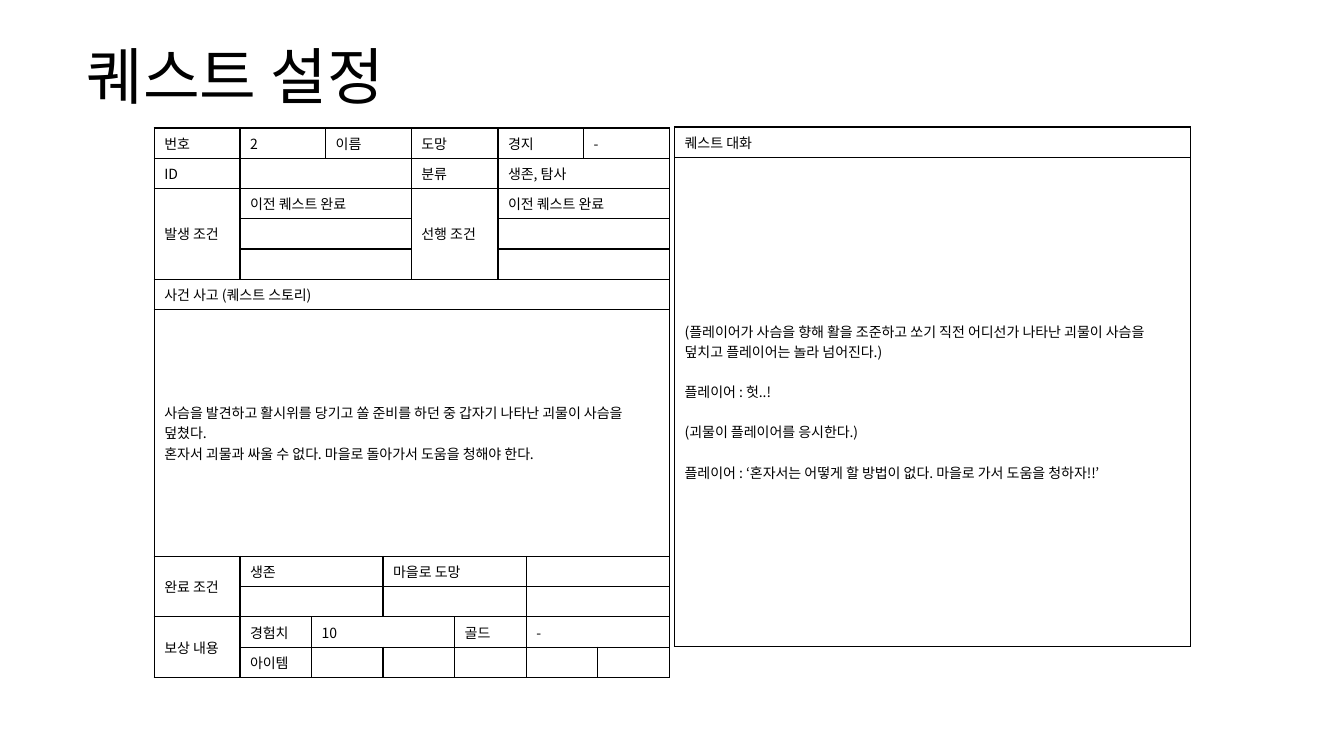
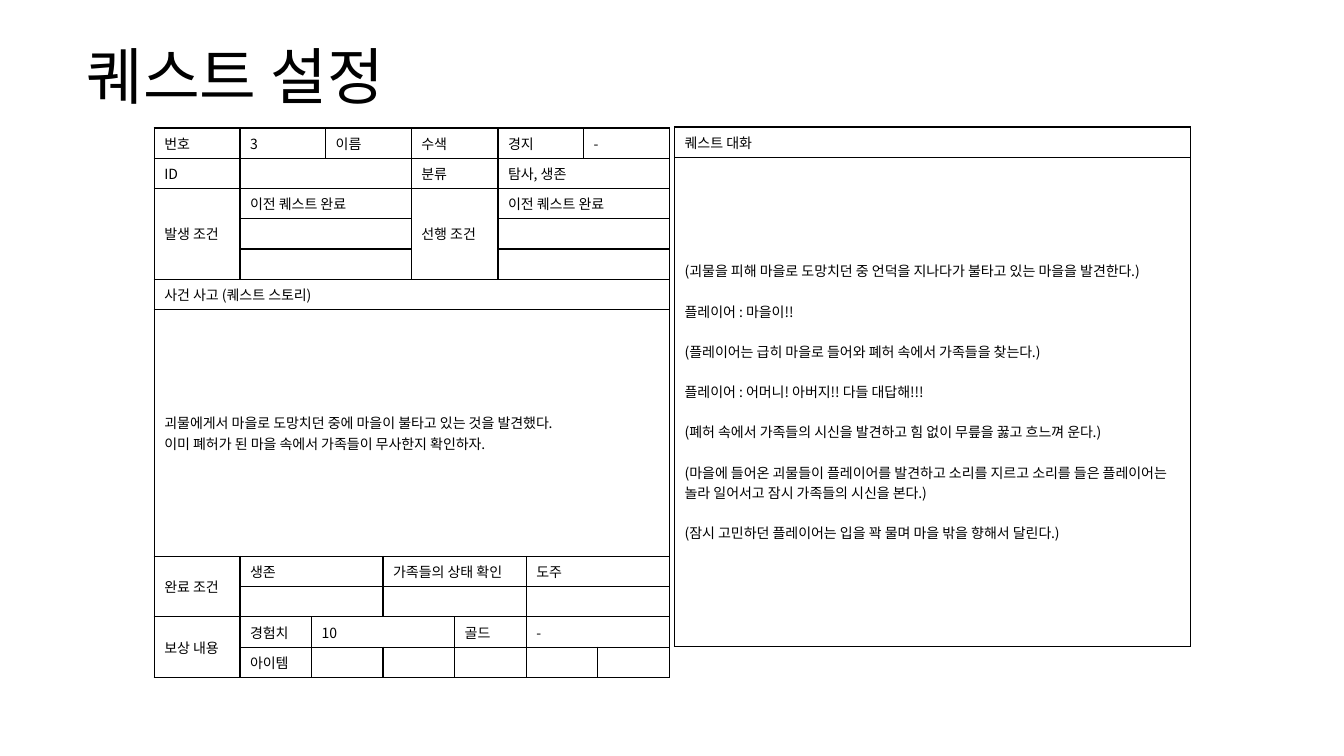
from pptx import Presentation
from pptx.dml.color import RGBColor
from pptx.enum.text import MSO_ANCHOR
from pptx.oxml.ns import qn
from pptx.util import Inches, Pt
from lxml.etree import SubElement, Element

FONT = "Noto Sans CJK KR"
INK = "000000"
TITLE_FORMAT = {"size": Pt(44), "name": FONT}
CELL_FORMAT = {"size": Pt(10), "name": FONT}
ROW_HEIGHT = 0.3
STORY_HEIGHT = 2.45
DIALOGUE_HEIGHT = 4.85
DIALOGUE_GAP = Pt(14.4)
FORM_COLUMNS = [0.85, 0.71, 0.14, 0.57, 0.28, 0.43, 0.43, 0.28, 0.57, 0.14, 0.71]
FORM_ROWS = [ROW_HEIGHT] * 6 + [STORY_HEIGHT] + [ROW_HEIGHT] * 4


def color(value):
    return RGBColor.from_string(value)


class QuestDeck:
    def __init__(self):
        self.presentation = Presentation()
        self.presentation.slide_width = Inches(13.33)
        self.presentation.slide_height = Inches(7.5)
        self.slide = None

    def add_slide(self):
        self.slide = self.presentation.slides.add_slide(self.presentation.slide_layouts[6])

    def add_text(self, paragraph, text, formats):
        run = paragraph.add_run()
        run.text = text
        for name, value in formats.items():
            setattr(run.font, name, value)
        run.font.color.rgb = color(INK)
        SubElement(run.font._element, qn("a:ea"), typeface=FONT)

    def title(self, text):
        shape = self.slide.shapes.add_textbox(
            Inches(0.76), Inches(0.32), Inches(11.81), Inches(0.94))
        frame = shape.text_frame
        frame.word_wrap = True
        frame.vertical_anchor = MSO_ANCHOR.MIDDLE
        paragraph = frame.paragraphs[0]
        paragraph.line_spacing = 0.9
        self.add_text(paragraph, text, TITLE_FORMAT)

    def style_cell(self, cell):
        cell.fill.background()
        cell.vertical_anchor = MSO_ANCHOR.MIDDLE
        # Borders come before the fill in the cell properties
        properties = cell._tc.get_or_add_tcPr()
        for index, side in enumerate(("lnL", "lnR", "lnT", "lnB")):
            line = Element(qn(f"a:{side}"), w=str(Pt(1)))
            fill = SubElement(line, qn("a:solidFill"))
            SubElement(fill, qn("a:srgbClr"), val=INK)
            properties.insert(index, line)
        # Empty cells keep the small text height
        SubElement(cell.text_frame.paragraphs[0]._p, qn("a:endParaRPr"),
                   sz=str(int(CELL_FORMAT["size"].pt * 100)))

    def fill_cell(self, cell, lines, gap):
        frame = cell.text_frame
        for index, text in enumerate(lines):
            paragraph = frame.add_paragraph() if index else frame.paragraphs[0]
            if index and gap:
                paragraph.space_before = gap
            self.add_text(paragraph, text, CELL_FORMAT)

    def table(self, left, top, widths, heights, rows, gap=None):
        """Each entry of a row is (text or lines, column span, row span)."""
        frame = self.slide.shapes.add_table(
            len(heights), len(widths), Inches(left), Inches(top),
            Inches(sum(widths)), Inches(sum(heights)))
        table = frame.table
        table.first_row = table.horz_banding = False
        for column, width in zip(table.columns, widths):
            column.width = Inches(width)
        for row, height in zip(table.rows, heights):
            row.height = Inches(height)

        for row_index, entries in enumerate(rows):
            column_index = 0
            for content, column_span, row_span in entries:
                while table.cell(row_index, column_index).is_spanned:
                    column_index += 1
                cell = table.cell(row_index, column_index)
                if column_span * row_span > 1:
                    cell.merge(table.cell(row_index + row_span - 1,
                                          column_index + column_span - 1))
                lines = [content] if isinstance(content, str) else content
                self.fill_cell(cell, [line for line in lines if line], gap)
                column_index += column_span

        for cell in table.iter_cells():
            self.style_cell(cell)

    def quest(self, number, name, category, story, goals, dialogue):
        self.add_slide()
        self.title("퀘스트 설정")

        # Quest form
        previous = "이전 퀘스트 완료"
        blank_conditions = [("", 4, 1), ("", 4, 1)]
        first, second, third = goals
        rows = [
            [("번호", 1, 1), (number, 2, 1), ("이름", 2, 1), (name, 2, 1),
             ("경지", 2, 1), ("-", 2, 1)],
            [("ID", 1, 1), ("", 4, 1), ("분류", 2, 1), (category, 4, 1)],
            [("발생 조건", 1, 3), (previous, 4, 1), ("선행 조건", 2, 3), (previous, 4, 1)],
            blank_conditions,
            blank_conditions,
            [("사건 사고 (퀘스트 스토리)", 11, 1)],
            [(story, 11, 1)],
            [("완료 조건", 1, 2), (first, 3, 1), (second, 4, 1), (third, 3, 1)],
            [("", 3, 1), ("", 4, 1), ("", 3, 1)],
            [("보상 내용", 1, 2), ("경험치", 1, 1), ("10", 4, 1), ("골드", 2, 1), ("-", 3, 1)],
            [("아이템", 1, 1)] + [("", 2, 1)] * 4 + [("", 1, 1)],
        ]
        self.table(1.53, 1.27, FORM_COLUMNS, FORM_ROWS, rows)

        # Quest dialogue
        self.table(6.69, 1.26, [5.12], [ROW_HEIGHT, DIALOGUE_HEIGHT],
                   [[("퀘스트 대화", 1, 1)], [(dialogue, 1, 1)]], DIALOGUE_GAP)


QUESTS = [
    {
        "number": "2",
        "name": "도망",
        "category": "생존, 탐사",
        "story": [
            "사슴을 발견하고 활시위를 당기고 쏠 준비를 하던 중 갑자기 나타난 괴물이 사슴을 덮쳤다.",
            "혼자서 괴물과 싸울 수 없다. 마을로 돌아가서 도움을 청해야 한다.",
        ],
        "goals": ["생존", "마을로 도망", ""],
        "dialogue": [
            "(플레이어가 사슴을 향해 활을 조준하고 쏘기 직전 어디선가 나타난 괴물이 사슴을 "
            "덮치고 플레이어는 놀라 넘어진다.)",
            "플레이어 : 헛..!",
            "(괴물이 플레이어를 응시한다.)",
            "플레이어 : ‘혼자서는 어떻게 할 방법이 없다. 마을로 가서 도움을 청하자!!’",
        ],
    },
    {
        "number": "3",
        "name": "수색",
        "category": "탐사, 생존",
        "story": [
            "괴물에게서 마을로 도망치던 중에 마을이 불타고 있는 것을 발견했다.",
            "이미 폐허가 된 마을 속에서 가족들이 무사한지 확인하자.",
        ],
        "goals": ["생존", "가족들의 상태 확인", "도주"],
        "dialogue": [
            "(괴물을 피해 마을로 도망치던 중 언덕을 지나다가 불타고 있는 마을을 발견한다.)",
            "플레이어 : 마을이!!",
            "(플레이어는 급히 마을로 들어와 폐허 속에서 가족들을 찾는다.)",
            "플레이어 : 어머니! 아버지!! 다들 대답해!!!",
            "(폐허 속에서 가족들의 시신을 발견하고 힘 없이 무릎을 꿇고 흐느껴 운다.)",
            "(마을에 들어온 괴물들이 플레이어를 발견하고 소리를 지르고 소리를 들은 플레이어는 "
            "놀라 일어서고 잠시 가족들의 시신을 본다.)",
            "(잠시 고민하던 플레이어는 입을 꽉 물며 마을 밖을 향해서 달린다.)",
        ],
    },
]


def main():
    deck = QuestDeck()
    for quest in QUESTS:
        deck.quest(**quest)
    deck.presentation.save("out.pptx")


if __name__ == "__main__":
    main()
